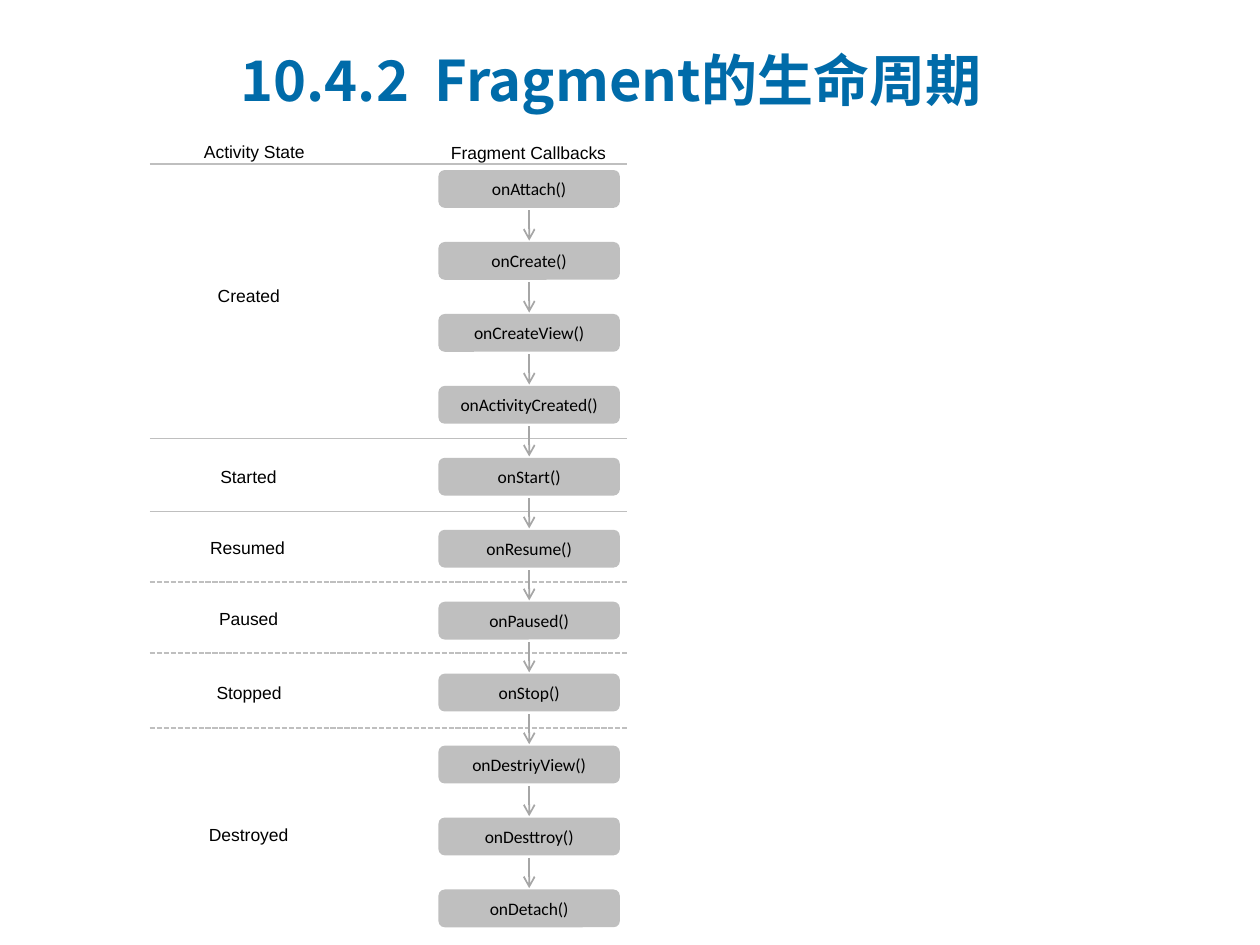
"""Build the slide on the fragment life cycle."""
from dataclasses import dataclass

from pptx import Presentation
from pptx.dml.color import RGBColor
from pptx.enum import dml, shapes, text
from pptx.oxml import ns, xmlchemy
from pptx.util import Inches, Pt


@dataclass(frozen=True)
class Theme:
    title_color: str = "006BA9"
    ink: str = "000000"
    grey: str = "BFBFBF"
    arrow: str = "A6A6A6"
    title_font: str = "Noto Sans CJK SC"
    label_font: str = "Arial"
    step_font: str = "Calibri"
    title_size: int = 32
    body_size: int = 10
    line_width: float = 1


class LifecycleSlide:
    def __init__(self, deck, theme):
        self.theme = theme
        self.page = deck.slides.add_slide(deck.slide_layouts[5])

    def add_span(self, para, words, font, size, color, bold=False):
        span = para.add_run()
        span.text = words
        span.font.name = font
        span.font.size = Pt(size)
        span.font.bold = bold
        span.font.color.rgb = RGBColor.from_string(color)
        return span

    def title(self, pieces, left, top, width, height, hanging):
        box = self.page.shapes.title
        box.left, box.top = Inches(left), Inches(top)
        box.width, box.height = Inches(width), Inches(height)
        frame = box.text_frame
        frame.auto_size = text.MSO_AUTO_SIZE.NONE
        frame.vertical_anchor = text.MSO_ANCHOR.MIDDLE
        para = frame.paragraphs[0]
        para.alignment = text.PP_ALIGN.LEFT
        properties = para._p.get_or_add_pPr()
        properties.set("marL", str(Inches(hanging)))
        properties.set("indent", str(-Inches(hanging)))
        theme = self.theme
        for words in pieces:
            span = self.add_span(para, words, theme.title_font, theme.title_size,
                                 theme.title_color, True)
            east_asian = xmlchemy.OxmlElement("a:ea")
            east_asian.set("typeface", theme.title_font)
            span.font._element.find(ns.qn("a:latin")).addnext(east_asian)

    def label(self, words, left, top, width):
        box = self.page.shapes.add_textbox(
            Inches(left), Inches(top), Inches(width), Inches(0.27))
        frame = box.text_frame
        frame.word_wrap = False
        frame.auto_size = text.MSO_AUTO_SIZE.SHAPE_TO_FIT_TEXT
        self.add_span(frame.paragraphs[0], words, self.theme.label_font,
                      self.theme.body_size, self.theme.ink)

    def step(self, words, left, top, width, height):
        box = self.page.shapes.add_shape(
            shapes.MSO_SHAPE.ROUNDED_RECTANGLE,
            Inches(left), Inches(top), Inches(width), Inches(height))
        box.shadow.inherit = False
        box.fill.solid()
        box.fill.fore_color.rgb = RGBColor.from_string(self.theme.grey)
        box.line.fill.background()
        frame = box.text_frame
        frame.word_wrap = True
        frame.vertical_anchor = text.MSO_ANCHOR.MIDDLE
        para = frame.paragraphs[0]
        para.alignment = text.PP_ALIGN.CENTER
        self.add_span(para, words, self.theme.step_font,
                      self.theme.body_size, self.theme.ink)

    def line(self, start, end, color):
        line = self.page.shapes.add_connector(
            shapes.MSO_CONNECTOR.STRAIGHT, *map(Inches, start + end))
        line.line.color.rgb = RGBColor.from_string(color)
        line.line.width = Pt(self.theme.line_width)
        line._element.spPr.append(xmlchemy.OxmlElement("a:effectLst"))
        return line

    def divider(self, left, right, top, dashed):
        line = self.line((left, top), (right, top), self.theme.grey)
        if dashed:
            line.line.dash_style = dml.MSO_LINE.SQUARE_DOT

    def arrow(self, center, top, length):
        line = self.line((center, top), (center, top + length), self.theme.arrow)
        head = xmlchemy.OxmlElement("a:tailEnd")
        head.set("type", "arrow")
        line.line._get_or_add_ln().append(head)


LABELS = [
    ("Activity State", 1.52, 1.07, 1.01),
    ("Fragment Callbacks", 3.48, 1.08, 1.45),
    ("Created", 1.63, 2.21, 0.70),
    ("Started", 1.65, 3.65, 0.65),
    ("Resumed", 1.57, 4.21, 0.80),
    ("Paused", 1.64, 4.78, 0.67),
    ("Stopped", 1.62, 5.36, 0.72),
    ("Destroyed", 1.56, 6.49, 0.84),
]
DIVIDERS = [(1.3, False), (3.48, False), (4.06, False),
            (4.62, True), (5.18, True), (5.78, True)]
CALLBACKS = ["onAttach()", "onCreate()", "onCreateView()", "onActivityCreated()",
             "onStart()", "onResume()", "onPaused()", "onStop()",
             "onDestriyView()", "onDesttroy()", "onDetach()"]
STEP_LEFT, STEP_WIDTH, STEP_HEIGHT = 3.48, 1.44, 0.3
FIRST_TOP, LAST_TOP = 1.35, 7.06
ARROW_GAP, ARROW_LENGTH = 0.02, 0.24


def main():
    deck = Presentation()
    deck.slide_width, deck.slide_height = Inches(10), Inches(7.5)
    slide = LifecycleSlide(deck, Theme())
    slide.title(["10.4.2  Fragment", "的生命周期"], 1.81, 0.21, 6.89, 0.84, 0.62)
    for label in LABELS:
        slide.label(*label)
    for top, dashed in DIVIDERS:
        slide.divider(1.19, 4.98, top, dashed)
    pitch = (LAST_TOP - FIRST_TOP) / (len(CALLBACKS) - 1)
    for index, callback in enumerate(CALLBACKS):
        top = FIRST_TOP + index * pitch
        slide.step(callback, STEP_LEFT, top, STEP_WIDTH, STEP_HEIGHT)
        if index < len(CALLBACKS) - 1:
            slide.arrow(STEP_LEFT + STEP_WIDTH / 2,
                        top + STEP_HEIGHT + ARROW_GAP, ARROW_LENGTH)
    deck.save("out.pptx")


if __name__ == "__main__":
    main()
